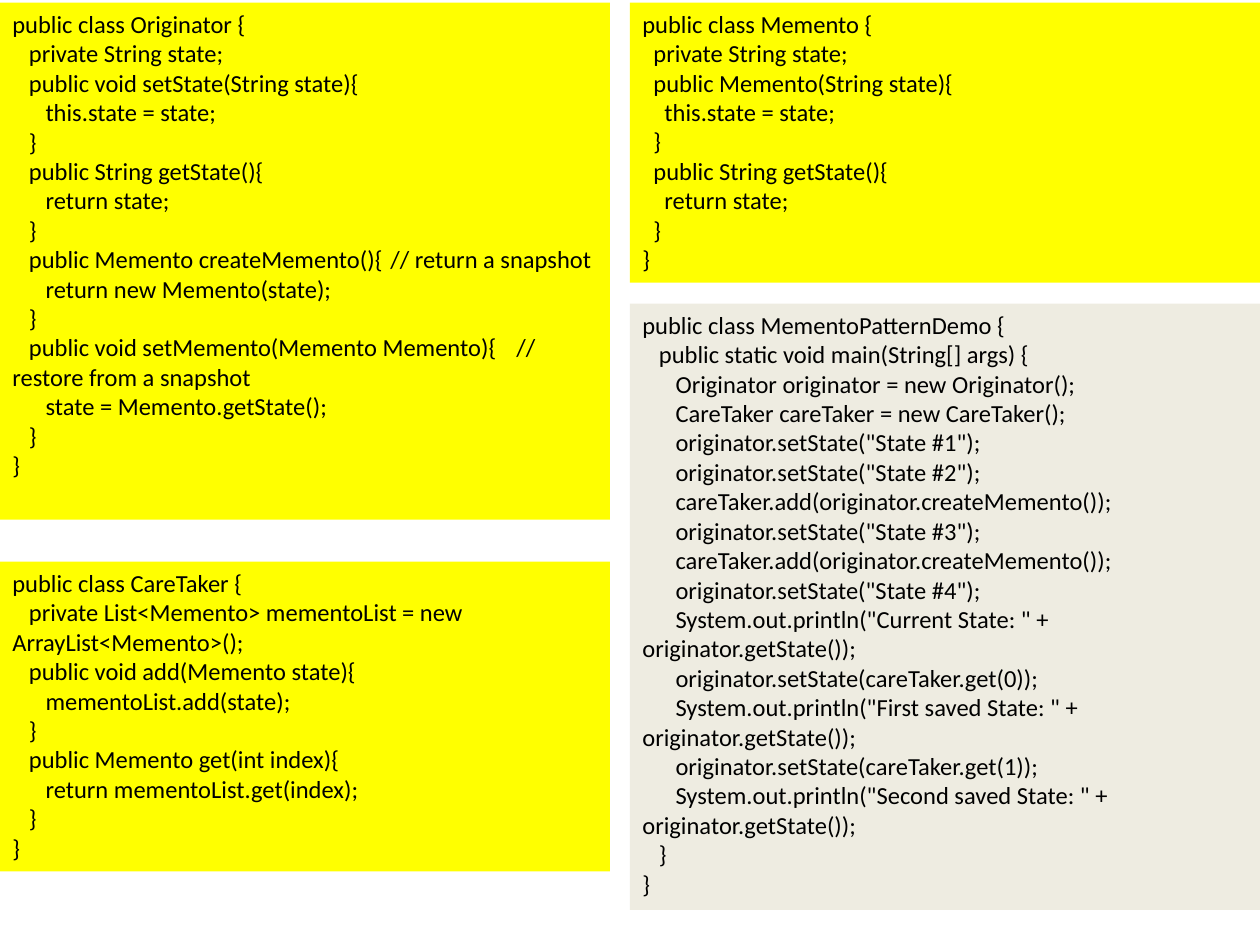
from lxml.etree import SubElement
from pptx import Presentation
from pptx.dml.color import RGBColor
from pptx.enum.shapes import MSO_SHAPE
from pptx.enum.text import MSO_ANCHOR, PP_ALIGN
from pptx.oxml.ns import qn
from pptx.util import Pt

ORIGINATOR = """public class Originator {
   private String state;
   public void setState(String state){
      this.state = state;
   }
   public String getState(){
      return state;
   }
   public Memento createMemento(){\t// return a snapshot
      return new Memento(state);
   }
   public void setMemento(Memento Memento){\t// restore from a snapshot
      state = Memento.getState();
   }
}"""

CARETAKER = """public class CareTaker {
   private List<Memento> mementoList = new ArrayList<Memento>();
   public void add(Memento state){
      mementoList.add(state);
   }
   public Memento get(int index){
      return mementoList.get(index);
   }
}"""

MEMENTO = """public class Memento {
  private String state;
  public Memento(String state){
    this.state = state;
  }
  public String getState(){
    return state;
  }
}"""

DEMO = """public class MementoPatternDemo {
   public static void main(String[] args) {
      Originator originator = new Originator();
      CareTaker careTaker = new CareTaker();
      originator.setState("State #1");
      originator.setState("State #2");
      careTaker.add(originator.createMemento());
      originator.setState("State #3");
      careTaker.add(originator.createMemento());
      originator.setState("State #4");
      System.out.println("Current State: " + originator.getState());
      originator.setState(careTaker.get(0));
      System.out.println("First saved State: " + originator.getState());
      originator.setState(careTaker.get(1));
      System.out.println("Second saved State: " + originator.getState());
   }
}"""

YELLOW, BEIGE = "FFFF00", "EEECE1"
LEFT, RIGHT = (0, 348.5), (360, 360)  # column left and width
PANELS = [  # code, column, top, height, fill
    (ORIGINATOR, LEFT, 1.5, 295.5, YELLOW),
    (CARETAKER, LEFT, 321, 177, YELLOW),
    (MEMENTO, RIGHT, 1.5, 160, YELLOW),
    (DEMO, RIGHT, 173.5, 346.5, BEIGE),
]
INDENT = 3.16  # width of one column of code indentation
COMMENT_STOPS = (246, 283)


def rgb(color):
    return RGBColor.from_string(color)


def add_line(p, line, *, size=14, font="Calibri", color="000000"):
    """Write one line of code, its leading spaces becoming a first-line indent."""
    code = line.lstrip()
    p.alignment = PP_ALIGN.LEFT
    pPr = p._p.get_or_add_pPr()
    pPr.set("marL", "0")
    pPr.set("indent", str(Pt(INDENT * (len(line) - len(code)))))
    if "\t" in code:
        stops = SubElement(pPr, qn("a:tabLst"))
        for pos in COMMENT_STOPS:
            SubElement(stops, qn("a:tab"), pos=str(Pt(pos)), algn="l")
    r = p.add_run()
    r.text = code
    r.font.size, r.font.name = Pt(size), font
    r.font.color.rgb = rgb(color)


def add_panel(s, code, column, top, height, fill):
    left, width = column
    sp = s.shapes.add_shape(MSO_SHAPE.RECTANGLE, Pt(left), Pt(top), Pt(width), Pt(height))
    sp.shadow.inherit = False
    sp.fill.solid()
    sp.fill.fore_color.rgb = rgb(fill)
    sp.line.fill.background()
    tf = sp.text_frame
    tf.word_wrap = True
    tf.vertical_anchor = MSO_ANCHOR.TOP
    for i, line in enumerate(code.splitlines()):
        add_line(tf.add_paragraph() if i else tf.paragraphs[0], line)


def main():
    prs = Presentation()
    prs.slide_width, prs.slide_height = Pt(720), Pt(540)
    s = prs.slides.add_slide(prs.slide_layouts[6])
    for panel in PANELS:
        add_panel(s, *panel)
    prs.save("out.pptx")


if __name__ == "__main__":
    main()
